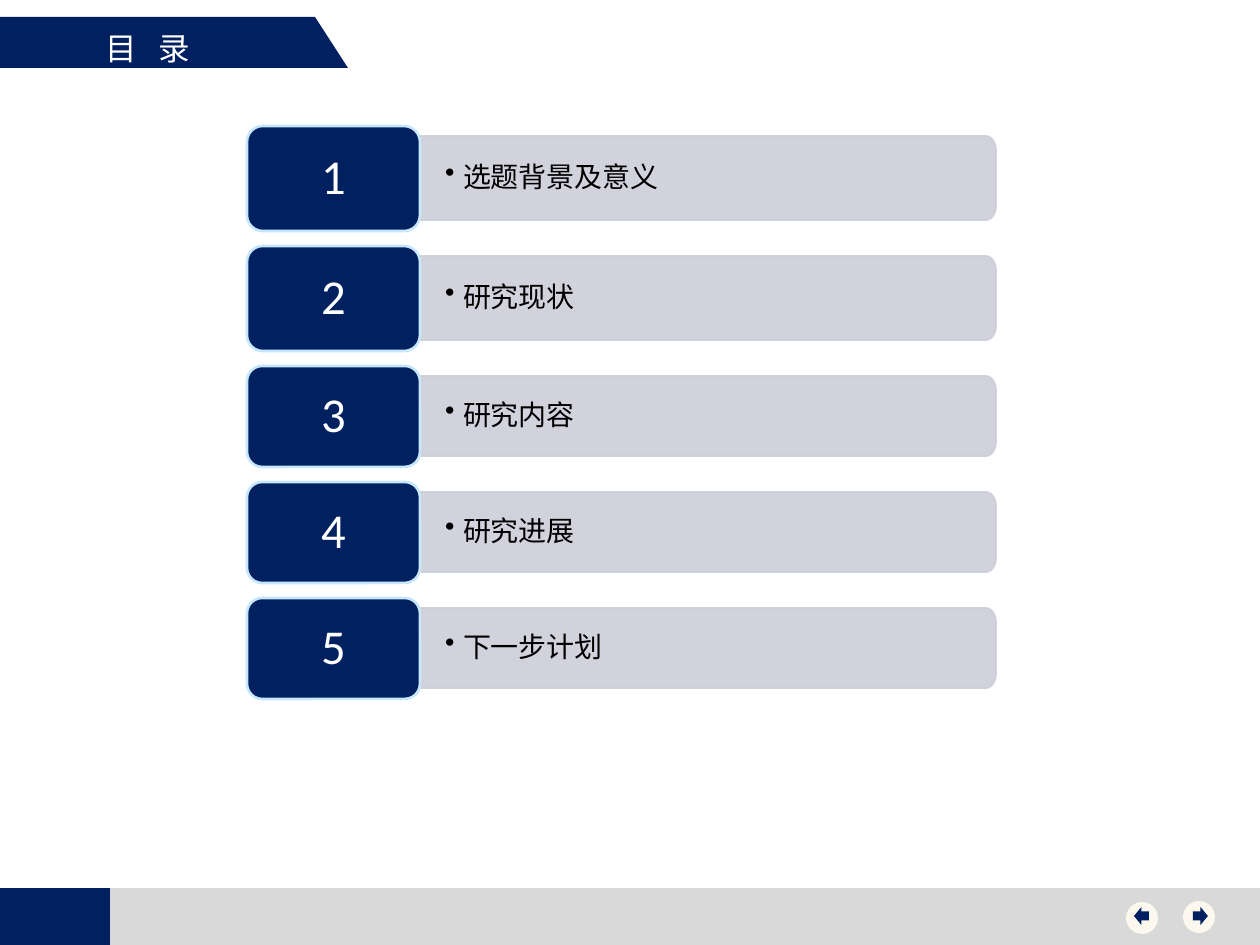
from math import cos, pi, sin

from lxml.etree import SubElement
from pptx import Presentation
from pptx.dml.color import RGBColor
from pptx.enum.shapes import MSO_SHAPE as Preset
from pptx.enum.text import MSO_ANCHOR as Anchor, MSO_AUTO_SIZE as AutoSize, PP_ALIGN as Align
from pptx.oxml.ns import qn
from pptx.util import Emu, Pt

PX = 914400 / 126  # EMU in one px


class Theme:
    navy, footer, cream = "002060", "D9D9D9", "FCF8ED"
    bar, tab_edge = "CCCED9", "C6E7FC"
    white, black = "FFFFFF", "000000"
    latin, chinese = "Calibri", "Noto Sans CJK SC"
    title_size, topic_size, number_size = 18, 16, 27.8


def paint(shape, fill, line=None, width=1, alpha=None):
    shape.shadow.inherit = False
    shape.fill.solid()
    shape.fill.fore_color.rgb = RGBColor.from_string(fill)
    if line:
        shape.line.color.rgb = RGBColor.from_string(line)
        shape.line.width = Pt(width)
    else:
        shape.line.fill.background()
    if alpha:
        for color in shape._element.spPr.iter(qn("a:srgbClr")):
            SubElement(color, qn("a:alpha"), val=str(alpha * 1000))


def write(box, text, size, color, font=Theme.latin, align=Align.LEFT, anchor=Anchor.MIDDLE,
          insets=(13, 6, 13, 6), spacing=None, after=0, bullet=False):
    frame = box.text_frame
    frame.word_wrap = True
    frame.vertical_anchor = anchor
    frame.margin_left, frame.margin_top, frame.margin_right, frame.margin_bottom = (
        Emu(round(inset * PX)) for inset in insets)
    para = frame.paragraphs[0]
    para.alignment = align
    para.line_spacing = spacing
    para.space_after = Pt(after)
    span = para.add_run()
    span.text = text
    span.font.size = Pt(size)
    span.font.name = font
    span.font.color.rgb = RGBColor.from_string(color)
    if font == Theme.chinese:
        SubElement(span.font._element, qn("a:ea"), typeface=font)
    if bullet:
        para.level = 1
        props = para._p.get_or_add_pPr()
        props.set("marL", str(round(18 * PX)))
        props.set("indent", str(round(-18 * PX)))
        SubElement(props, qn("a:buChar"), char="•")


deck = Presentation()
deck.slide_width, deck.slide_height = Emu(round(1260 * PX)), Emu(round(945 * PX))
page = deck.slides.add_slide(deck.slide_layouts[6])

# Footer, title banner and navigation buttons
for preset, bounds, fill in (
    (Preset.RECTANGLE, (0, 888, 1260, 58), Theme.footer),
    (Preset.RECTANGLE, (0, 888, 110, 58), Theme.navy),
    (Preset.RECTANGLE, (0, 17, 315, 51), Theme.navy),
    (Preset.RIGHT_TRIANGLE, (315, 17, 33, 51), Theme.navy),
    (Preset.OVAL, (1183, 901, 32, 32), Theme.cream),
    (Preset.RIGHT_ARROW, (1193, 907, 15, 18), Theme.navy),
    (Preset.OVAL, (1126, 902, 32, 32), Theme.cream),
    (Preset.LEFT_ARROW, (1134, 907, 15, 18), Theme.navy),
):
    paint(page.shapes.add_shape(preset, *(Emu(round(n * PX)) for n in bounds)), fill)

# Title
title = page.shapes.add_textbox(*(Emu(round(n * PX)) for n in (93, 23, 154, 50)))
write(title, "目   录", Theme.title_size, Theme.white, font=Theme.chinese, anchor=Anchor.TOP)
title.text_frame.auto_size = AutoSize.SHAPE_TO_FIT_TEXT

# Agenda rows: a bar rounded on its right side, then its number tab
tab_left, tab_width, gap = 247, 173, 15
bar_left, bar_right = tab_left + tab_width, 996
corner_x, corner_y = 10, 14
turns = [step * pi / 12 for step in range(7)]
top = 126
for number, (topic, height) in enumerate((
    ("选题背景及意义", 105),
    ("研究现状", 105),
    ("研究内容", 101),
    ("研究进展", 101),
    ("下一步计划", 101),
), start=1):
    bar_top, bar_bottom = top + 10, top + height - 11
    corners = [(bar_right - corner_x + corner_x * sin(turn),
                bar_top + corner_y - corner_y * cos(turn)) for turn in turns]
    corners += [(x, bar_top + bar_bottom - y) for x, y in reversed(corners)]
    outline = page.shapes.build_freeform(round(bar_left * PX), round(bar_top * PX))
    outline.add_line_segments(
        [(round(x * PX), round(y * PX)) for x, y in corners + [(bar_left, bar_bottom)]])
    bar = outline.convert_to_shape()
    paint(bar, Theme.bar, Theme.bar, alpha=90)
    write(bar, topic, Theme.topic_size, Theme.black, insets=(25, 16, 29, 16),
          spacing=0.9, after=2.4, bullet=True)

    tab = page.shapes.add_shape(
        Preset.ROUNDED_RECTANGLE, *(Emu(round(n * PX)) for n in (tab_left, top, tab_width, height)))
    tab.adjustments[0] = 0.15
    paint(tab, Theme.navy, Theme.tab_edge, width=1.5)
    write(tab, str(number), Theme.number_size, Theme.white, align=Align.CENTER,
          insets=(19, 11, 19, 11), spacing=0.9, after=9.7)
    top += height + gap

deck.save("out.pptx")
